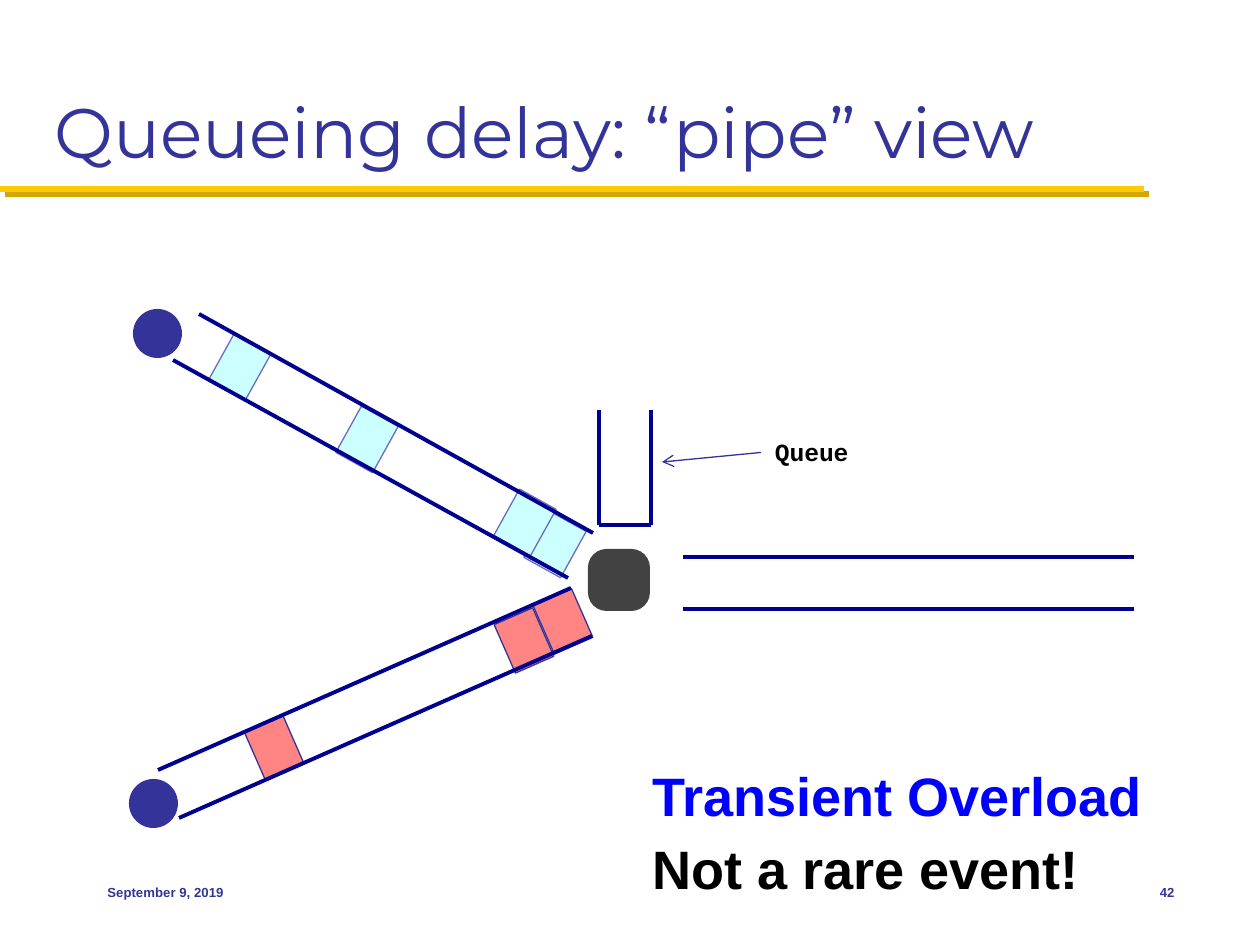
from dataclasses import dataclass

from lxml import etree
from pptx import Presentation
from pptx import util as u
from pptx.dml.color import RGBColor
from pptx.enum import shapes, text
from pptx.oxml import parse_xml
from pptx.oxml.ns import nsdecls, qn

SCALE = u.Inches(1) / 126
KIND = shapes.MSO_SHAPE
ALIGN = text.PP_ALIGN
ANCHOR = text.MSO_ANCHOR


@dataclass(frozen=True)
class Theme:
    ink: str = "333399"
    wall: str = "000090"
    gold: str = "FFCB05"
    shade: str = "D3A600"
    cyan: str = "CCFFFF"
    edge: str = "6A6ACD"
    red: str = "FF8585"
    gray: str = "424242"
    blue: str = "0000FF"
    black: str = "000000"
    title: float = 40
    claim: float = 30.9
    label: float = 14.1
    foot: float = 7.5
    thin: float = 0.75
    thick: float = 2.25
    rule: float = 3.5


@dataclass(frozen=True)
class Line:
    x1: int
    y1: int
    x2: int
    y2: int


@dataclass(frozen=True)
class Box:
    x: int
    y: int
    w: int
    h: int


@dataclass(frozen=True)
class Pipe:
    """Two walls with a row of tilted packets between them."""
    walls: tuple[Line, ...]
    spots: tuple[tuple[int, int], ...] = ()
    turn: float = 0
    fill: str = ""
    edge: str = ""


T = Theme()
PACKET = (42, 53)

PIPES = (
    Pipe((Line(158, 770, 571, 588), Line(179, 818, 592, 636)),
         ((253, 721), (542, 595), (503, 614)), 336.3, T.red, T.ink),
    Pipe((Line(683, 557, 1134, 557), Line(683, 609, 1134, 609))),
    Pipe((Line(199, 314, 593, 533), Line(173, 360, 568, 578)),
         ((534, 518), (504, 496), (346, 413), (219, 340)), 29, T.cyan, T.edge),
)
QUEUE = (Line(599, 410, 599, 525), Line(651, 410, 651, 525),
         Line(599, 525, 651, 525))
HOSTS = (Box(133, 309, 49, 49), Box(129, 779, 49, 49))


def px(*vals: int) -> list[u.Emu]:
    return [u.Emu(round(v * SCALE)) for v in vals]


def rgb(code: str) -> RGBColor:
    return RGBColor.from_string(code)


def draw_line(slide, line: Line, color: str, width: float):
    item = slide.shapes.add_connector(
        shapes.MSO_CONNECTOR.STRAIGHT, *px(line.x1, line.y1, line.x2, line.y2))
    item.line.color.rgb = rgb(color)
    item.line.width = u.Pt(width)
    etree.SubElement(item._element.spPr, qn("a:effectLst"))
    return item


def draw_shape(slide, kind, box: Box, fill: str, edge: str = "", turn: float = 0):
    item = slide.shapes.add_shape(kind, *px(box.x, box.y, box.w, box.h))
    item.shadow.inherit = False
    item.rotation = turn
    item.fill.solid()
    item.fill.fore_color.rgb = rgb(fill)
    if edge:
        item.line.color.rgb = rgb(edge)
        item.line.width = u.Pt(T.thin)
    else:
        item.line.fill.background()
    return item


def draw_text(slide, words: str, box: Box, *, size: float, color: str,
              font: str = "Arial", bold: bool = True, wrap: bool = True,
              align=ALIGN.LEFT, anchor=ANCHOR.TOP):
    item = slide.shapes.add_textbox(*px(box.x, box.y, box.w, box.h))
    frame = item.text_frame
    frame.word_wrap = wrap
    frame.vertical_anchor = anchor
    para = frame.paragraphs[0]
    para.alignment = align
    run = para.add_run()
    run.text = words
    run.font.name = font
    run.font.size = u.Pt(size)
    run.font.bold = bold
    run.font.color.rgb = rgb(color)
    return item


def draw_pipe(slide, pipe: Pipe) -> None:
    for x, y in pipe.spots:
        draw_shape(slide, KIND.RECTANGLE, Box(x, y, *PACKET),
                   pipe.fill, pipe.edge, pipe.turn)
    for wall in pipe.walls:
        draw_line(slide, wall, T.wall, T.thick)


def draw_rule(slide) -> None:
    """Gold line under the title, with a hard shadow."""
    rule = draw_line(slide, Line(0, 189, 1144, 189), T.gold, T.rule)
    rule._element.spPr.find(qn("a:effectLst")).append(parse_xml(
        f'<a:outerShdw {nsdecls("a")} dist="{u.Pt(4.2)}" dir="2700000" '
        f'algn="ctr" rotWithShape="0"><a:srgbClr val="{T.shade}"/>'
        '</a:outerShdw>'))


def draw_queue(slide) -> None:
    for wall in QUEUE:
        draw_line(slide, wall, T.wall, T.thick)
    label = draw_text(slide, "Queue", Box(761, 431, 100, 43), size=T.label,
                      color=T.black, font="Courier New", wrap=False,
                      align=ALIGN.RIGHT)
    arrow = draw_line(slide, Line(761, 452, 662, 462), T.ink, T.thin)
    arrow.begin_connect(label, 1)
    etree.SubElement(arrow.line._get_or_add_ln(), qn("a:tailEnd"), type="arrow")


def main() -> None:
    deck = Presentation()
    deck.slide_width, deck.slide_height = px(1260, 945)
    slide = deck.slides.add_slide(deck.slide_layouts[6])

    draw_rule(slide)
    draw_text(slide, "Queueing delay: “pipe” view", Box(42, 21, 1176, 158),
              size=T.title, color=T.ink, font="Montserrat", bold=False,
              anchor=ANCHOR.BOTTOM)
    for pipe in PIPES:
        draw_pipe(slide, pipe)
    draw_queue(slide)
    for host in HOSTS:
        draw_shape(slide, KIND.OVAL, host, T.ink)
    router = draw_shape(slide, KIND.ROUNDED_RECTANGLE,
                        Box(588, 549, 62, 62), T.gray)
    router.adjustments[0] = 0.3

    draw_text(slide, "Transient Overload", Box(640, 756, 588, 78),
              size=T.claim, color=T.blue)
    draw_text(slide, "Not a rare event!", Box(640, 829, 588, 78),
              size=T.claim, color=T.black)
    draw_text(slide, "September 9, 2019", Box(95, 861, 262, 63),
              size=T.foot, color=T.ink, anchor=ANCHOR.MIDDLE)
    draw_text(slide, "42", Box(1103, 861, 84, 63), size=T.foot, color=T.ink,
              align=ALIGN.RIGHT, anchor=ANCHOR.MIDDLE)
    deck.save("out.pptx")


if __name__ == "__main__":
    main()
